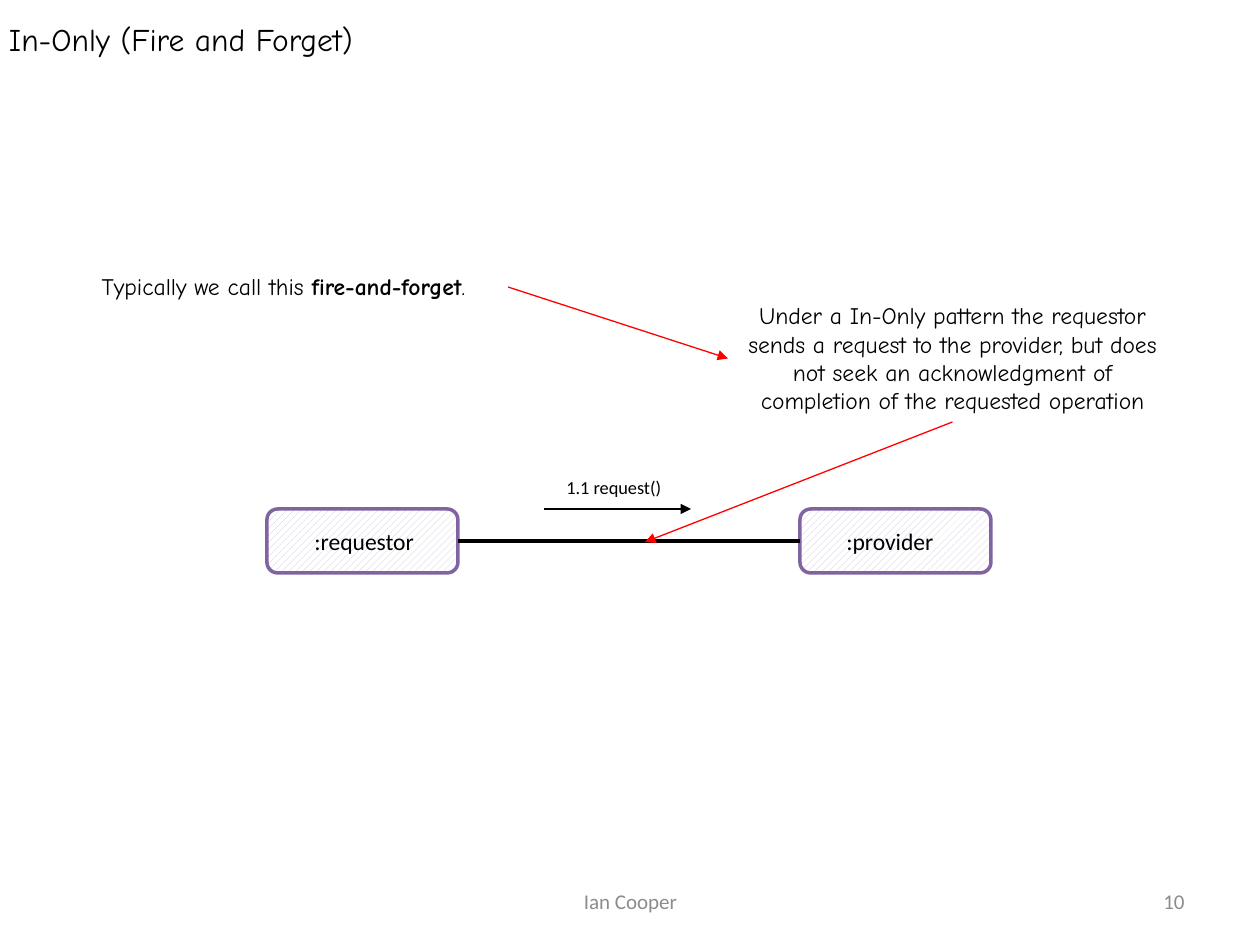
from lxml import etree
from pptx import Presentation
from pptx.dml.color import RGBColor
from pptx.enum.dml import MSO_PATTERN
from pptx.enum.shapes import MSO_CONNECTOR, MSO_SHAPE
from pptx.enum.text import MSO_ANCHOR, MSO_AUTO_SIZE, PP_ALIGN
from pptx.oxml.ns import qn
from pptx.util import Emu, Pt

PX = 914400 / 126
BLACK = RGBColor(0x00, 0x00, 0x00)
WHITE = RGBColor(0xFF, 0xFF, 0xFF)
GREY = RGBColor(0x8C, 0x8C, 0x8C)
RED = RGBColor(0xFF, 0x00, 0x00)
PURPLE = RGBColor(0x80, 0x64, 0xA2)
LILAC = RGBColor(0xCC, 0xC1, 0xDA)
LEFT, CENTER, RIGHT = PP_ALIGN.LEFT, PP_ALIGN.CENTER, PP_ALIGN.RIGHT
TOP, MIDDLE = MSO_ANCHOR.TOP, MSO_ANCHOR.MIDDLE
FIT, FIXED = MSO_AUTO_SIZE.SHAPE_TO_FIT_TEXT, MSO_AUTO_SIZE.NONE
STRAIGHT = MSO_CONNECTOR.STRAIGHT
ROUNDED = MSO_SHAPE.ROUNDED_RECTANGLE
HATCH = MSO_PATTERN.WIDE_UPWARD_DIAGONAL
SANS, COMIC = "Calibri", "Comic Neue"


def px(*values):
    return [Emu(round(v * PX)) for v in values]


def add_line(x1, y1, x2, y2, color, width, arrow=False):
    line = s.shapes.add_connector(STRAIGHT, *px(x1, y1, x2, y2))
    line.line.color.rgb = color
    line.line.width = Pt(width)
    if arrow:
        etree.SubElement(line.line._get_or_add_ln(), qn("a:tailEnd"), type="triangle")
    etree.SubElement(line._element.spPr, qn("a:effectLst"))
    return line


prs = Presentation()
prs.slide_width, prs.slide_height = px(1260, 945)
s = prs.slides.add_slide(prs.slide_layouts[5])

title = s.shapes.title
title.left, title.top, title.width, title.height = px(0, 11, 1260, 57)
tf = title.text_frame
tf.margin_left, tf.margin_top, tf.margin_right, tf.margin_bottom = px(9, 9, 9, 9)
tf.vertical_anchor = TOP
tf.auto_size = FIT
p = tf.paragraphs[0]
p.alignment = LEFT
r = p.add_run()
r.text = "In-Only (Fire and Forget)"
r.font.name = COMIC
r.font.size = Pt(18)
r.font.color.rgb = BLACK

roles = []
for x in (267, 800):
    sp = s.shapes.add_shape(ROUNDED, *px(x, 509, 191, 64))
    sp.shadow.inherit = False
    sp.fill.patterned()
    sp.fill.pattern = HATCH
    sp.fill.fore_color.rgb = LILAC
    sp.fill.back_color.rgb = WHITE
    sp.line.color.rgb = PURPLE
    sp.line.width = Pt(2)
    roles.append(sp)
requestor, provider = roles

link = add_line(458, 541, 800, 541, BLACK, 2.5)
link.begin_connect(requestor, 3)
link.end_connect(provider, 1)
add_line(544, 509, 691, 509, BLACK, 1.5, arrow=True)

texts = [
    ((431, 876, 399, 50), ["Ian Cooper"], SANS, 12, GREY, CENTER, MIDDLE, True),
    ((903, 876, 294, 50), ["10"], SANS, 12, GREY, RIGHT, MIDDLE, True),
    ((554, 470, 123, 35), ["1.1 request()"], SANS, 10.5, BLACK, LEFT, TOP, False),
    ((302, 521, 144, 42), [":requestor"], SANS, 13.5, BLACK, LEFT, TOP, False),
    ((834, 521, 121, 42), [":provider"], SANS, 13.5, BLACK, LEFT, TOP, False),
    ((728, 295, 449, 127),
     ["Under a In-Only pattern the requestor sends a request to the provider, "
      "but does not seek an acknowledgment of completion of the requested operation"],
     COMIC, 13.5, BLACK, CENTER, TOP, True),
    ((59, 266, 449, 42), ["Typically we call this ", "fire-and-forget", "."],
     COMIC, 13.5, BLACK, CENTER, TOP, True),
]
boxes = []
for rect, runs, font, size, color, align, anchor, wrap in texts:
    box = s.shapes.add_textbox(*px(*rect))
    tf = box.text_frame
    tf.word_wrap = wrap
    tf.vertical_anchor = anchor
    tf.auto_size = FIXED if anchor == MIDDLE else FIT
    p = tf.paragraphs[0]
    p.alignment = align
    for text in runs:
        r = p.add_run()
        r.text = text
        r.font.name = font
        r.font.size = Pt(size)
        r.font.bold = text == "fire-and-forget"
        r.font.color.rgb = color
    boxes.append(box)
pattern, nickname = boxes[-2:]

pointer = add_line(953, 422, 645, 542, RED, 0.75, arrow=True)
pointer.begin_connect(pattern, 2)
pointer = add_line(508, 287, 728, 359, RED, 0.75, arrow=True)
pointer.begin_connect(nickname, 3)
pointer.end_connect(pattern, 1)

prs.save("out.pptx")
